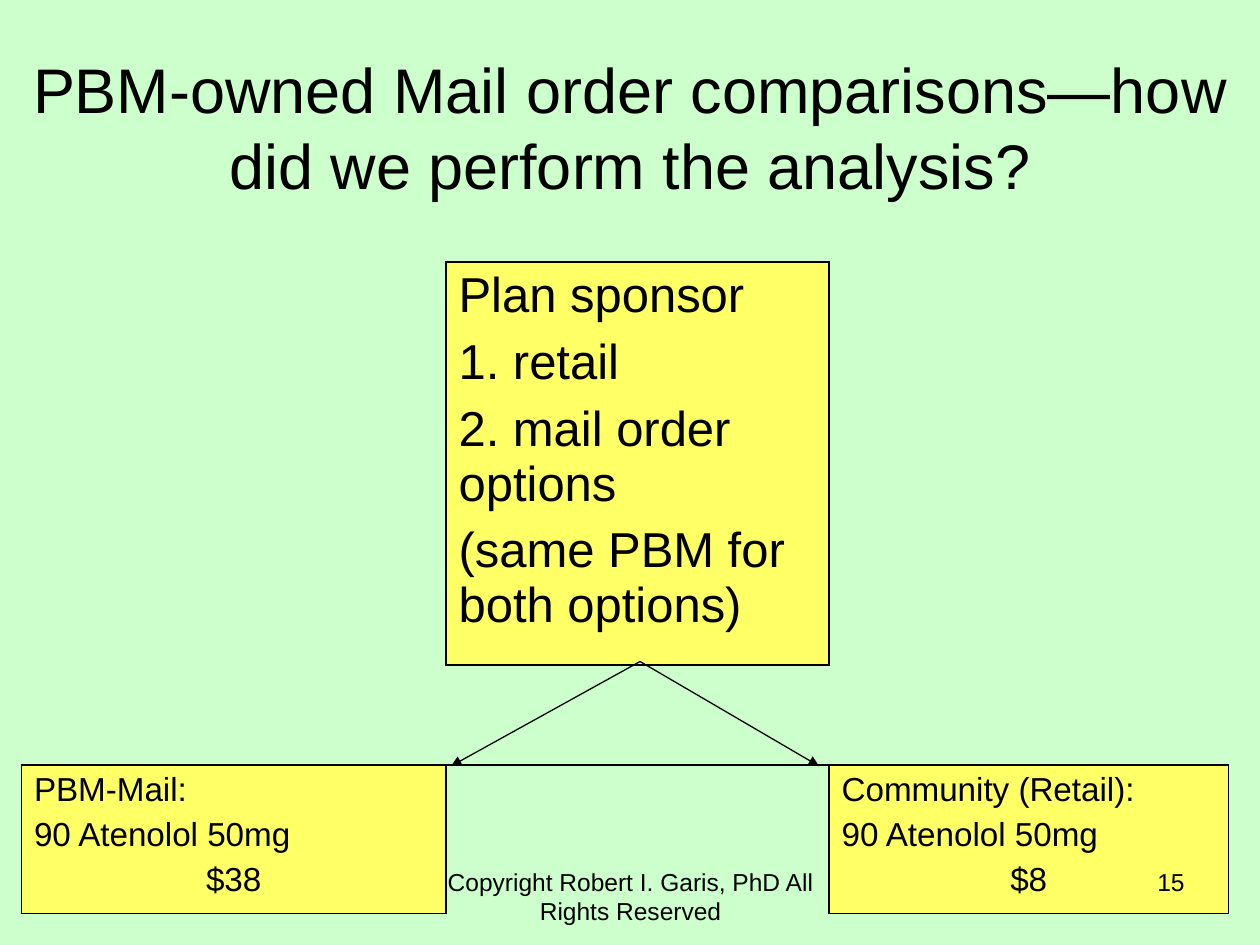
from dataclasses import dataclass

import pptx
import pptx.dml.color
import pptx.enum.shapes
import pptx.enum.text
import pptx.oxml
import pptx.oxml.ns
import pptx.util
from lxml import etree

Inches = pptx.util.Inches
Pt = pptx.util.Pt
RGBColor = pptx.dml.color.RGBColor
Align = pptx.enum.text.PP_ALIGN
qn = pptx.oxml.ns.qn

BLACK = RGBColor(0x00, 0x00, 0x00)
MINT = RGBColor(0xCC, 0xFF, 0xCC)
YELLOW = RGBColor(0xFF, 0xFF, 0x66)
FONT = "Arial"
NO_STYLE = "{2D5ABB26-0587-4C30-8999-92F81FD0307C}"
BORDER_WIDTH = Pt(1.08)
COLUMN_WIDTHS = (3.37, 3.04, 3.17)
ROW_HEIGHTS = (3.2, 0.79, 1.18)
# Each side of a cell and the step to the neighbour that shares it
SIDES = {"lnL": (0, -1), "lnR": (0, 1), "lnT": (-1, 0), "lnB": (1, 0)}


@dataclass
class Box:
    row: int
    column: int
    size: float
    space_before: float
    lines: tuple[str, ...]
    price: str = ""


@dataclass
class FooterText:
    left: float
    width: float
    text: str
    align: Align


BOXES = (
    Box(0, 1, 28, 7, ("Plan sponsor", "1. retail", "2. mail order options",
                      "(same PBM for both options)")),
    Box(2, 0, 19, 4.8, ("PBM-Mail:", "90 Atenolol 50mg"), "$38"),
    Box(2, 2, 19, 4.8, ("Community (Retail):", "90 Atenolol 50mg"), "$8"),
)
FOOTER = (
    FooterText(3.42, 3.17, "Copyright Robert I. Garis, PhD All Rights Reserved",
               Align.CENTER),
    FooterText(7.17, 2.33, "15", Align.RIGHT),
)
SPONSOR_EXIT = (5.08, 5.25)
ARROW_TIPS = ((3.58, 6.08), (6.5, 6.08))


def style(paragraph, size: float, align: Align = Align.LEFT) -> None:
    paragraph.alignment = align
    paragraph.font.name = FONT
    paragraph.font.size = Pt(size)
    paragraph.font.color.rgb = BLACK


def add_title(slide) -> None:
    title = slide.shapes.title
    title.left, title.top = Inches(0), Inches(0.3)
    title.width, title.height = Inches(10), Inches(1.95)
    frame = title.text_frame
    frame.text = "PBM-owned Mail order comparisons—how did we perform the analysis?"
    frame.auto_size = pptx.enum.text.MSO_AUTO_SIZE.NONE
    frame.vertical_anchor = pptx.enum.text.MSO_ANCHOR.TOP
    frame.margin_top = Inches(0.1)
    style(frame.paragraphs[0], 36, Align.CENTER)


def set_border(cell, side: str) -> None:
    line = etree.SubElement(cell._tc.get_or_add_tcPr(), qn(f"a:{side}"),
                            w=str(BORDER_WIDTH))
    fill = etree.SubElement(line, qn("a:solidFill"))
    etree.SubElement(fill, qn("a:srgbClr"), val=str(BLACK))


def fill_box(cell, box: Box) -> None:
    cell.fill.solid()
    cell.fill.fore_color.rgb = YELLOW
    texts = box.lines + ((box.price,) if box.price else ())
    cell.text = "\n".join(texts)
    for index, paragraph in enumerate(cell.text_frame.paragraphs):
        if index:
            paragraph.space_before = Pt(box.space_before)
        is_price = index == len(box.lines)
        style(paragraph, box.size, Align.CENTER if is_price else Align.LEFT)


def add_comparison_table(slide) -> None:
    table = slide.shapes.add_table(
        len(ROW_HEIGHTS), len(COLUMN_WIDTHS), Inches(0.17), Inches(2.08),
        Inches(sum(COLUMN_WIDTHS)), Inches(sum(ROW_HEIGHTS))).table
    table.first_row = table.horz_banding = False
    table._tbl.tblPr.find(qn("a:tableStyleId")).text = NO_STYLE
    for column, width in zip(table.columns, COLUMN_WIDTHS):
        column.width = Inches(width)
    for row, height in zip(table.rows, ROW_HEIGHTS):
        row.height = Inches(height)

    boxes = {(box.row, box.column): box for box in BOXES}
    for row in range(len(ROW_HEIGHTS)):
        for column in range(len(COLUMN_WIDTHS)):
            cell = table.cell(row, column)
            box = boxes.get((row, column))
            for side, (down, right) in SIDES.items():
                if box or (row + down, column + right) in boxes:
                    set_border(cell, side)
            if box:
                fill_box(cell, box)
            else:
                cell.fill.background()


def add_arrow(slide, start: tuple[float, float], tip: tuple[float, float]) -> None:
    arrow = slide.shapes.add_connector(
        pptx.enum.shapes.MSO_CONNECTOR.STRAIGHT,
        *(Inches(value) for value in start + tip))
    arrow.line.color.rgb = BLACK
    arrow.line.width = Pt(0.75)
    etree.SubElement(arrow.line._get_or_add_ln(), qn("a:tailEnd"), type="triangle")
    etree.SubElement(arrow._element.spPr, qn("a:effectLst"))


def add_footer_text(slide, footer: FooterText) -> None:
    frame = slide.shapes.add_textbox(
        Inches(footer.left), Inches(6.83),
        Inches(footer.width), Inches(0.52)).text_frame
    frame.word_wrap = True
    frame.text = footer.text
    style(frame.paragraphs[0], 14, footer.align)


def main() -> None:
    deck = pptx.Presentation()
    deck.slide_width, deck.slide_height = Inches(10), Inches(7.5)
    slide = deck.slides.add_slide(deck.slide_layouts.get_by_name("Title Only"))
    slide.background.fill.solid()
    slide.background.fill.fore_color.rgb = MINT

    add_title(slide)
    add_comparison_table(slide)
    for tip in ARROW_TIPS:
        add_arrow(slide, SPONSOR_EXIT, tip)
    for footer in FOOTER:
        add_footer_text(slide, footer)
    deck.save("out.pptx")


if __name__ == "__main__":
    main()
